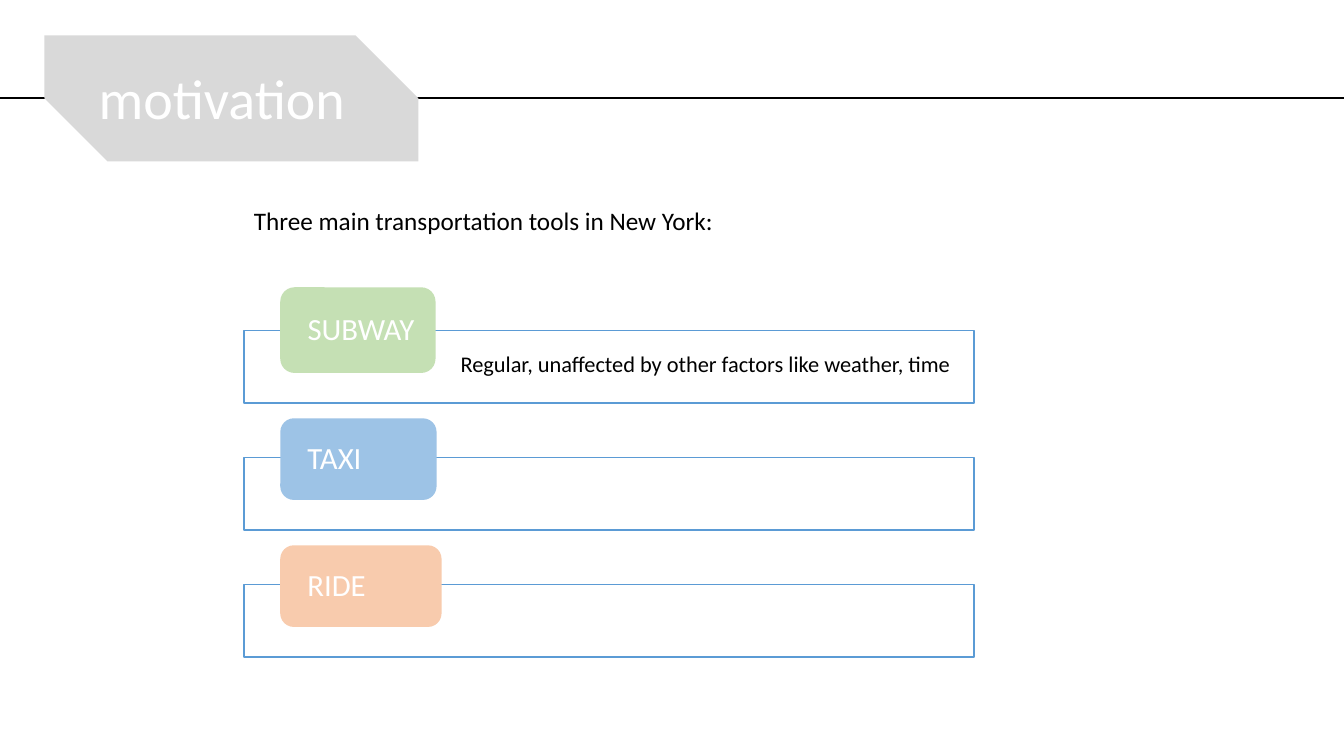
from dataclasses import dataclass

from lxml import etree
from pptx import Presentation
from pptx.dml.color import RGBColor
from pptx.enum.shapes import MSO_CONNECTOR, MSO_SHAPE
from pptx.enum.text import MSO_ANCHOR, PP_ALIGN
from pptx.oxml.ns import qn
from pptx.util import Inches, Pt


@dataclass(frozen=True)
class Theme:
    font: str = "Calibri"
    black: str = "000000"
    white: str = "FFFFFF"
    banner: str = "D9D9D9"
    frame: str = "5B9BD5"
    green: str = "C5E0B4"
    blue: str = "9DC3E6"
    orange: str = "F8CBAD"
    title_size: int = 40
    label_size: int = 22
    intro_size: int = 18
    detail_size: int = 16


theme = Theme()

deck = Presentation()
deck.slide_width, deck.slide_height = Inches(13.33), Inches(7.5)
page = deck.slides.add_slide(deck.slide_layouts[6])


def add_box(preset, left, top, width, height, fill, outline=None):
    """Add a filled preset shape, with an outline if a colour is given."""
    box = page.shapes.add_shape(
        preset, Inches(left), Inches(top), Inches(width), Inches(height))
    box.shadow.inherit = False
    box.fill.solid()
    box.fill.fore_color.rgb = RGBColor.from_string(fill)
    if outline:
        box.line.color.rgb = RGBColor.from_string(outline)
        box.line.width = Pt(1)
    else:
        box.line.fill.background()
    return box


def write(box, text, size, color, **frame_format):
    """Put one left-aligned paragraph in a box."""
    frame = box.text_frame
    for name, value in {"word_wrap": True, **frame_format}.items():
        setattr(frame, name, value)
    para = frame.paragraphs[0]
    para.alignment = PP_ALIGN.LEFT
    span = para.add_run()
    span.text = text
    span.font.color.rgb = RGBColor.from_string(color)
    for name, value in {"name": theme.font, "size": Pt(size)}.items():
        setattr(span.font, name, value)


# Header rule and banner
rule = page.shapes.add_connector(
    MSO_CONNECTOR.STRAIGHT, 0, Inches(0.97), deck.slide_width, Inches(0.97))
rule.line.color.rgb = RGBColor.from_string(theme.black)
rule.line.width = Pt(1.5)
etree.SubElement(rule._element.spPr, qn("a:effectLst"))

banner = add_box(MSO_SHAPE.SNIP_2_DIAG_RECTANGLE, 0.44, 0.35, 3.71, 1.25, theme.banner)
banner.adjustments[0], banner.adjustments[1] = 0, 0.5

# Transport rows: a frame with a coloured label over its top edge
frame_left, first_top, row_step = 2.42, 3.28, 1.26
label_format = {
    "vertical_anchor": MSO_ANCHOR.MIDDLE,
    "margin_left": Inches(0.23),
    "margin_right": Inches(0.1),
    "margin_top": 0,
    "margin_bottom": 0,
}
transports = [
    ("SUBWAY", theme.green, 2.85, 1.54, 0.85),
    ("TAXI", theme.blue, 4.15, 1.55, 0.81),
    ("RIDE", theme.orange, 5.41, 1.6, 0.81),
]
for row, (name, color, top, width, height) in enumerate(transports):
    add_box(MSO_SHAPE.RECTANGLE, frame_left, first_top + row * row_step, 7.24, 0.72,
            theme.white, theme.frame)
    label = add_box(MSO_SHAPE.ROUNDED_RECTANGLE, 2.78, top, width, height, color)
    write(label, name, theme.label_size, theme.white, **label_format)
    label.text_frame.paragraphs[0].line_spacing = 0.9

# Title, introduction and subway detail
captions = [
    ("motivation", 0.88, 0.58, 2.83, 0.77, theme.title_size, theme.white),
    ("Three main transportation tools in New York:",
     frame_left, 1.99, 6.88, 0.4, theme.intro_size, theme.black),
    ("Regular, unaffected by other factors like weather, time",
     4.47, 3.42, 5.13, 0.37, theme.detail_size, theme.black),
]
for text, left, top, width, height, size, color in captions:
    caption = page.shapes.add_textbox(
        Inches(left), Inches(top), Inches(width), Inches(height))
    write(caption, text, size, color)

deck.save("out.pptx")
